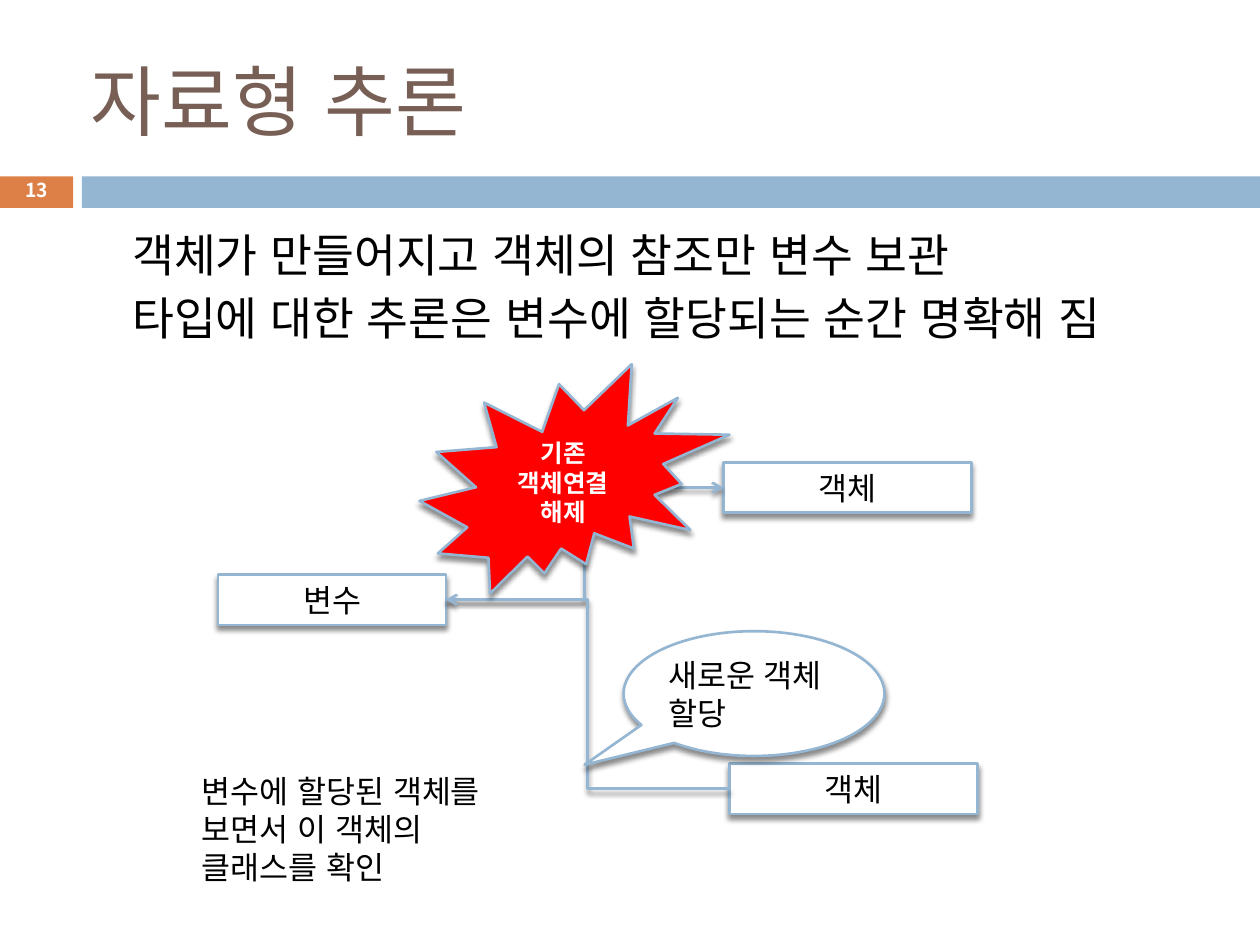
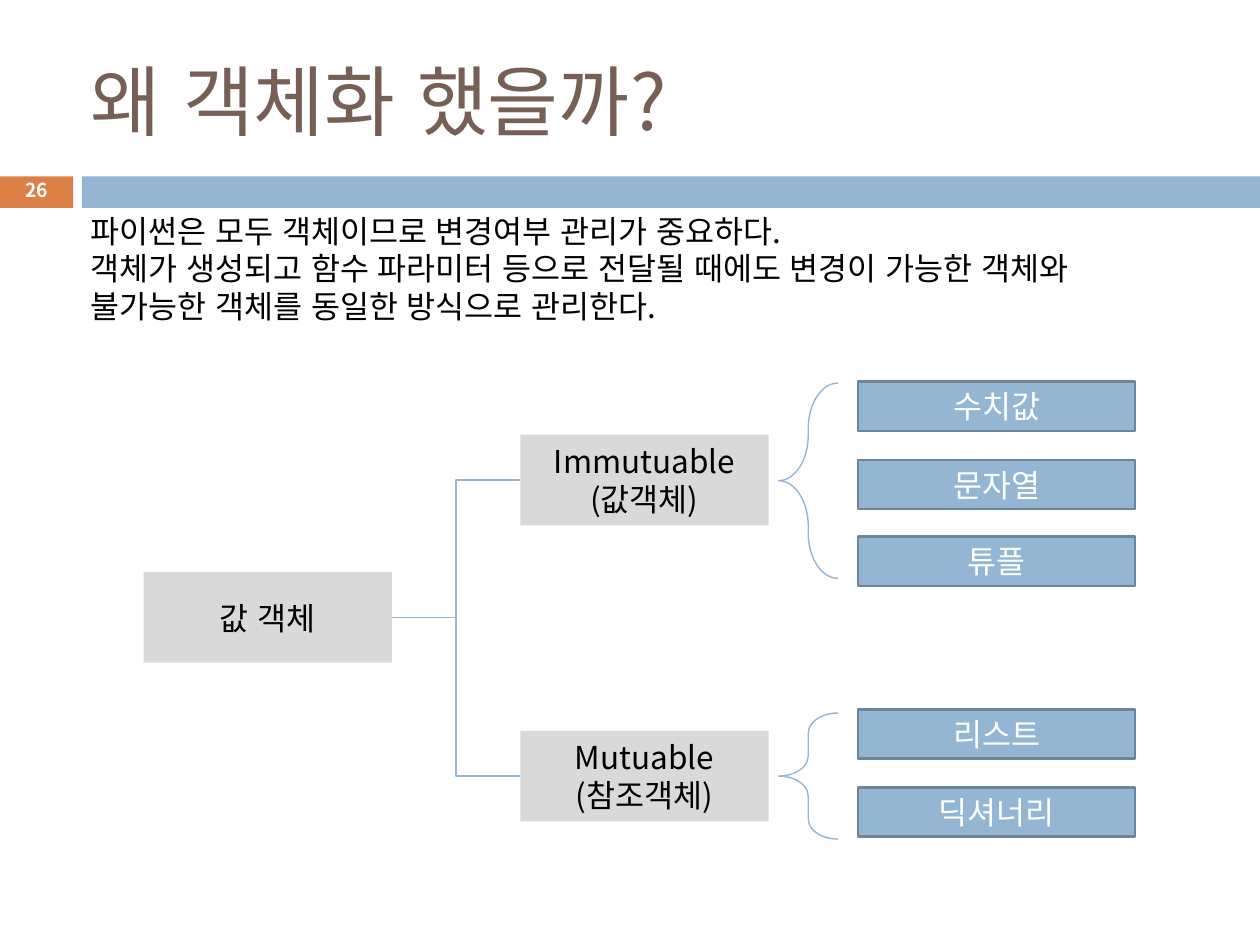
from dataclasses import dataclass
from typing import Optional

import pptx
import pptx.dml.color
import pptx.enum.dml
import pptx.enum.lang
import pptx.enum.shapes
import pptx.enum.text
import pptx.oxml
import pptx.oxml.ns
import pptx.util
from lxml import etree

SCALE = 9144  # EMU per px, 100 px to the inch
FONT = "Noto Sans CJK KR"
COLORS = {
    "white": "FFFFFF", "black": "000000", "title": "775F55",
    "accent": "DD8047", "blue": "94B6D2", "edge": "6C8599",
    "gray": "D9D9D9", "red": "FF0000",
}
SHAPE = pptx.enum.shapes.MSO_SHAPE
ALIGN = pptx.enum.text.PP_ALIGN
ANCHOR = pptx.enum.text.MSO_ANCHOR
LEFT, RIGHT = 1, 3  # connection sites of a rectangle
qn = pptx.oxml.ns.qn


@dataclass
class Node:
    text: str
    x: int
    y: int
    w: int
    h: int
    kind: SHAPE = SHAPE.RECTANGLE
    fill: Optional[str] = "white"
    line: Optional[str] = "blue"
    weight: float = 1.5
    shadow: bool = False
    color: str = "black"
    size: int = 18
    bold: bool = False
    align: ALIGN = ALIGN.CENTER
    adj: tuple[float, ...] = ()


@dataclass
class Branch:
    label: str
    y: int
    items: list[str]
    items_y: int
    brace_y: int
    brace_h: int
    curve: float


def px(n: int) -> int:
    return pptx.util.Emu(n * SCALE)


def rgb(name: str) -> pptx.dml.color.RGBColor:
    return pptx.dml.color.RGBColor.from_string(COLORS[name])


def write(tf, text: str, *, size: int = 18, color: str = "black", bold: bool = False,
          align: ALIGN = ALIGN.LEFT, anchor: ANCHOR = ANCHOR.TOP, wrap: bool = True,
          gap: int = 0, indent: int = 0, spacing: Optional[float] = None) -> None:
    """Fill a text frame, one paragraph per line of text."""
    tf.auto_size = pptx.enum.text.MSO_AUTO_SIZE.NONE
    tf.word_wrap = wrap
    tf.vertical_anchor = anchor
    tf.margin_left = tf.margin_right = tf.margin_top = tf.margin_bottom = px(5)
    for i, line in enumerate(text.split("\n")):
        p = tf.add_paragraph() if i else tf.paragraphs[0]
        p.alignment = align
        if i and gap:
            p.space_before = pptx.util.Pt(gap)
        if spacing:
            p.line_spacing = spacing
        if indent:
            p._p.get_or_add_pPr().set("marL", str(px(indent)))
        r = p.add_run()
        r.text = line
        r.font.size = pptx.util.Pt(size)
        r.font.bold = bold
        r.font.color.rgb = rgb(color)
        r.font.name = FONT
        r.font.language_id = pptx.enum.lang.MSO_LANGUAGE_ID.KOREAN
        etree.SubElement(r._r.get_or_add_rPr(), qn("a:ea"), typeface=FONT)


def add_text(s, text: str, x: int, y: int, w: int, h: int, **fmt) -> None:
    write(s.shapes.add_textbox(px(x), px(y), px(w), px(h)).text_frame, text, **fmt)


def cast_shadow(effects) -> None:
    effects.append(pptx.oxml.parse_xml(
        f'<a:outerShdw {pptx.oxml.ns.nsdecls("a")} blurRad="38100" dist="30480" '
        'dir="5400000" rotWithShape="0"><a:srgbClr val="000000">'
        '<a:alpha val="45000"/></a:srgbClr></a:outerShdw>'))


def add_node(s, n: Node):
    sp = s.shapes.add_shape(n.kind, px(n.x), px(n.y), px(n.w), px(n.h))
    for i, value in enumerate(n.adj):
        sp.adjustments[i] = value
    if n.fill:
        sp.fill.solid()
        sp.fill.fore_color.rgb = rgb(n.fill)
    else:
        sp.fill.background()
    if n.line:
        sp.line.color.rgb = rgb(n.line)
        sp.line.width = pptx.util.Pt(n.weight)
    else:
        sp.line.fill.background()
    sp.shadow.inherit = False
    if n.shadow:
        cast_shadow(sp._element.spPr.find(qn("a:effectLst")))
    if n.text:
        write(sp.text_frame, n.text, size=n.size, color=n.color, bold=n.bold,
              align=n.align, anchor=ANCHOR.MIDDLE)
    return sp


def link(s, start, start_site: int, end, end_site: int, *, weight: float,
         arrow: bool = False, shadow: bool = False) -> None:
    """Join two shapes with an elbow connector."""
    c = s.shapes.add_connector(pptx.enum.shapes.MSO_CONNECTOR.ELBOW, 0, 0, 0, 0)
    c.begin_connect(start, start_site)
    c.end_connect(end, end_site)
    c.line.color.rgb = rgb("blue")
    c.line.width = pptx.util.Pt(weight)
    if arrow:
        etree.SubElement(c.line._get_or_add_ln(), qn("a:tailEnd"), type="arrow")
    effects = etree.SubElement(c._element.spPr, qn("a:effectLst"))
    if shadow:
        cast_shadow(effects)


def new_slide(prs, title: str, number: int):
    """Slide with the shared title, band and page number."""
    s = prs.slides.add_slide(prs.slide_layouts[5])
    for x, w, fill in ((0, 58, "accent"), (65, 935, "blue")):
        add_node(s, Node("", x, 140, w, 25, fill=fill, line=None))
    t = s.shapes.title
    t.left, t.top, t.width, t.height = px(67), px(25), px(892), px(108)
    write(t.text_frame, title, size=44, color="title", anchor=ANCHOR.MIDDLE)
    add_text(s, str(number), 14, 137, 30, 30, size=11, color="white", bold=True,
             align=ALIGN.CENTER, anchor=ANCHOR.MIDDLE, wrap=False, spacing=0.8)
    return s


def type_inference(prs) -> None:
    s = new_slide(prs, "자료형 추론", 13)
    add_text(s, "객체가 만들어지고 객체의 참조만 변수 보관\n"
                "타입에 대한 추론은 변수에 할당되는 순간 명확해 짐",
             50, 175, 900, 224, size=26, gap=5, indent=50)

    # Variable, its old object and its new object
    variable = add_node(s, Node("변수", 173, 456, 181, 40, shadow=True))
    old = add_node(s, Node("객체", 574, 367, 197, 40, shadow=True))
    link(s, variable, RIGHT, old, LEFT, weight=1.5, arrow=True, shadow=True)
    add_text(s, "변수에 할당된 객체를 보면서 이 객체의 클래스를 확인", 155, 608, 264, 101)
    new = add_node(s, Node("객체", 579, 606, 197, 40, shadow=True))
    link(s, new, LEFT, variable, RIGHT, weight=1.5, arrow=True, shadow=True)

    # Remarks on the two links
    add_node(s, Node("새로운 객체 할당", 495, 501, 207, 99, SHAPE.OVAL_CALLOUT,
                     shadow=True, align=ALIGN.LEFT, adj=(-0.65, 0.57)))
    add_node(s, Node("기존 객체연결 해제", 333, 289, 246, 182, SHAPE.EXPLOSION2,
                     fill="red", shadow=True, color="white", size=14, bold=True))


def why_objects(prs) -> None:
    s = new_slide(prs, "왜 객체화 했을까?", 26)
    add_text(s, "파이썬은 모두 객체이므로 변경여부 관리가 중요하다.\n"
                "객체가 생성되고 함수 파라미터 등으로 전달될 때에도 변경이 가능한 "
                "객체와 불가능한 객체를 동일한 방식으로 관리한다.", 67, 163, 874, 101)

    # Tree of value kinds, each with a brace and its types
    root = add_node(s, Node("값 객체", 114, 454, 197, 72, fill="gray", line=None))
    branches = [
        Branch("Immutuable\n(값객체)", 345, ["수치값", "문자열", "튜플"], 303, 304, 155, 0.77),
        Branch("Mutuable\n(참조객체)", 580, ["리스트", "딕셔너리"], 563, 566, 100, 0.34),
    ]
    for b in branches:
        box = add_node(s, Node(b.label, 413, b.y, 197, 72, fill="gray", line=None))
        link(s, root, RIGHT, box, LEFT, weight=0.79)
        add_node(s, Node("", 618, b.brace_y, 47, b.brace_h, SHAPE.LEFT_BRACE,
                         fill=None, weight=0.79, adj=(b.curve, 0.5)))
        for i, item in enumerate(b.items):
            add_node(s, Node(item, 681, b.items_y + round(i * 61.5), 220, 39,
                             fill="blue", line="edge", color="white"))


def main() -> None:
    prs = pptx.Presentation()
    prs.slide_width, prs.slide_height = px(1000), px(750)
    type_inference(prs)
    why_objects(prs)
    prs.save("out.pptx")


if __name__ == "__main__":
    main()
